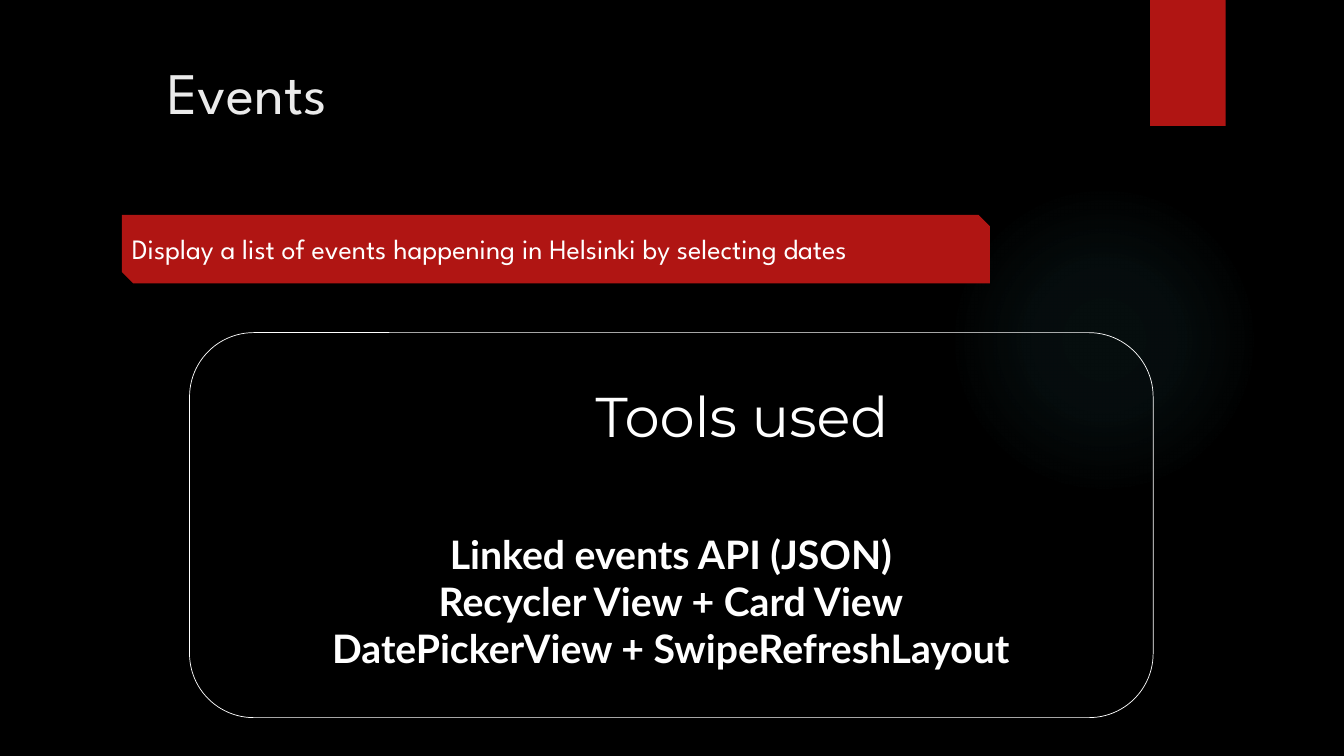
"""Builds the Events slide: a heading, a one-line summary and a framed list of tools."""
from lxml import etree
from pptx import Presentation
from pptx.dml import color
from pptx.enum import shapes, text
from pptx.oxml import ns, parse_xml
from pptx.util import Pt

COLORS = {
    "background": "000000",
    "accent": "B01513",
    "heading": "EBEBEB",
    "text": "FFFFFF",
    "glow": "50B9C1",
}
GLOW_STOPS = [(0, 7), (36, 6), (69, 0)]
SHAPE = shapes.MSO_SHAPE
PANELS = [
    (SHAPE.OVAL, (677.5, 131.75, 221.75, 221.75), None, None),
    (SHAPE.RECTANGLE, (821.5, 0, 54, 90), "accent", None),
    (SHAPE.SNIP_2_DIAG_RECTANGLE, (87.1, 153.4, 620, 49), "accent", None),
    (SHAPE.ROUNDED_RECTANGLE, (135.4, 237.6, 688.3, 275), None, "text"),
]
LEFT, CENTER = text.PP_ALIGN.LEFT, text.PP_ALIGN.CENTER
TEXTS = [
    (["Events"], (112.3, 36, 740.9, 110.2), "League Spartan", 42, "heading", False, LEFT),
    (["Display a list of events happening in Helsinki by selecting dates"],
     (87.1, 162, 704.2, 40.3), "League Spartan", 20, "text", False, LEFT),
    (["Tools used"], (418.3, 269.3, 318.2, 55.4), "Montserrat", 40, "text", False, LEFT),
    (["Linked events API (JSON)", "Recycler View + Card View",
      "DatePickerView + SwipeRefreshLayout"],
     (215.3, 375.1, 527.8, 108.7), "Lato", 28, "text", True, CENTER),
]


def rgb(name):
    return color.RGBColor.from_string(COLORS[name])


def add_panel(slide, kind, box, fill, line):
    panel = slide.shapes.add_shape(kind, *map(Pt, box))
    panel.shadow.inherit = False
    if fill:
        panel.fill.solid()
        panel.fill.fore_color.rgb = rgb(fill)
    else:
        panel.fill.background()
    if line:
        panel.line.color.rgb = rgb(line)
        panel.line.width = Pt(0.5)
    else:
        panel.line.fill.background()
    return panel


def add_glow(panel):
    gradient = parse_xml(
        f'<a:gradFill {ns.nsdecls("a")} rotWithShape="1"><a:gsLst/><a:path path="circle">'
        '<a:fillToRect l="50000" t="50000" r="50000" b="50000"/></a:path></a:gradFill>')
    for position, opacity in GLOW_STOPS:
        stop = etree.SubElement(gradient[0], ns.qn("a:gs"), pos=str(position * 1000))
        tint = etree.SubElement(stop, ns.qn("a:srgbClr"), val=COLORS["glow"])
        etree.SubElement(tint, ns.qn("a:alpha"), val=str(opacity * 1000))
    properties = panel.fill._xPr
    properties.replace(properties.find(ns.qn("a:noFill")), gradient)


def add_text(slide, lines, box, font, size, ink, bold, align):
    frame = slide.shapes.add_textbox(*map(Pt, box)).text_frame
    frame.word_wrap = True
    frame.text = "\n".join(lines)
    for paragraph in frame.paragraphs:
        paragraph.alignment = align
        for run in paragraph.runs:
            run.font.name = font
            run.font.size = Pt(size)
            run.font.bold = bold
            run.font.color.rgb = rgb(ink)


def main():
    deck = Presentation()
    deck.slide_width, deck.slide_height = Pt(960), Pt(540)
    slide = deck.slides.add_slide(deck.slide_layouts[6])
    slide.background.fill.solid()
    slide.background.fill.fore_color.rgb = rgb("background")
    glow, *_ = [add_panel(slide, *panel) for panel in PANELS]
    add_glow(glow)
    for block in TEXTS:
        add_text(slide, *block)
    deck.save("out.pptx")


if __name__ == "__main__":
    main()
